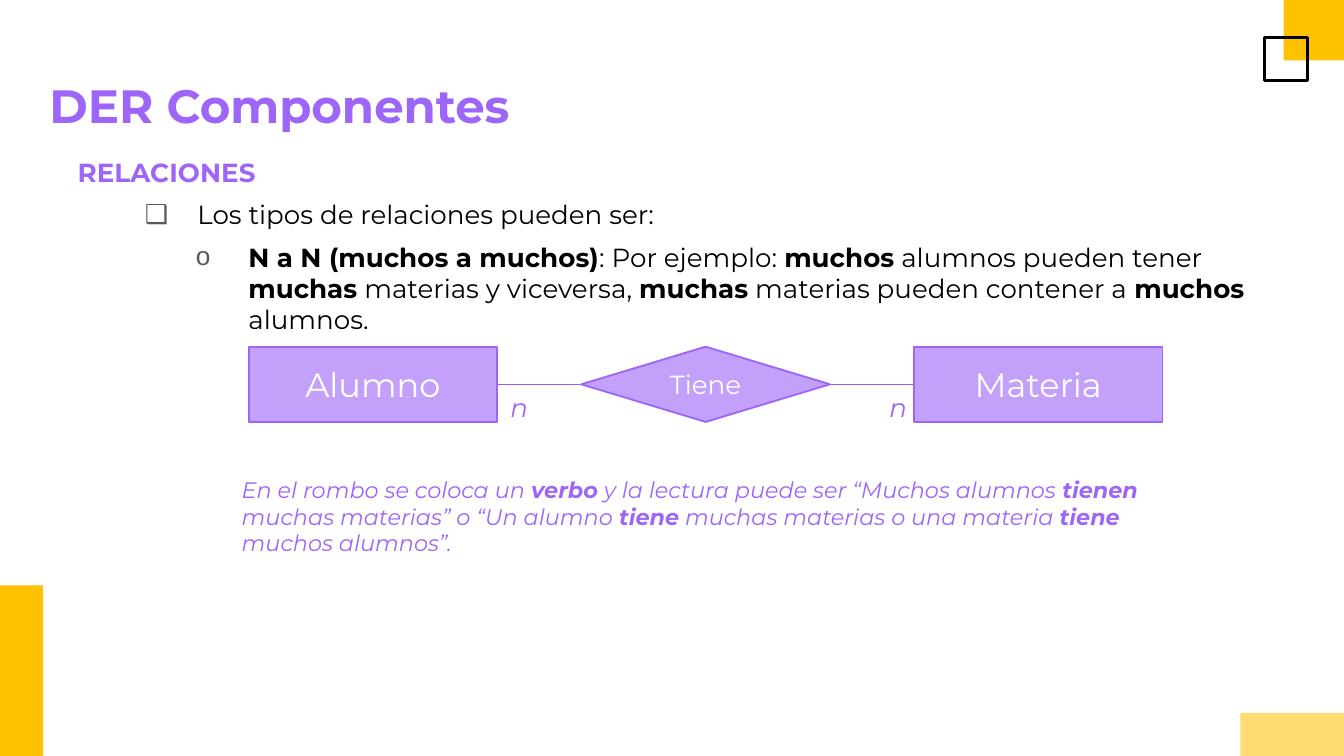
from lxml.etree import SubElement
from pptx import Presentation
from pptx.dml.color import RGBColor
from pptx.enum.shapes import MSO_CONNECTOR, MSO_SHAPE
from pptx.enum.text import MSO_ANCHOR, PP_ALIGN
from pptx.oxml.ns import qn
from pptx.util import Inches, Pt

PURPLE = RGBColor(0x9D, 0x66, 0xF9)
LINK_PURPLE = RGBColor(0x98, 0x5F, 0xF6)
LILAC = RGBColor(0xC3, 0xA1, 0xFB)
YELLOW = RGBColor(0xFF, 0xC1, 0x00)
PALE_YELLOW = RGBColor(0xFF, 0xDB, 0x71)
BLACK = RGBColor(0, 0, 0)
WHITE = RGBColor(0xFF, 0xFF, 0xFF)
GRAY = RGBColor(0x59, 0x59, 0x59)

FONT = "Montserrat"
SLIDE_WIDTH = Inches(10)
SLIDE_HEIGHT = SLIDE_WIDTH * 9 // 16
COLUMNS = 100
CELL = SLIDE_WIDTH / COLUMNS
ROWS = SLIDE_HEIGHT / CELL


def grid(*lengths):
    return [round(length * CELL) for length in lengths]


def set_values(target, values):
    for name, value in values.items():
        setattr(target, name, value)


def write_runs(paragraph, text, size, color, **style):
    for index, part in enumerate(text.split("*")):
        if part:
            run = paragraph.add_run()
            run.text = part
            set_values(run.font, {"name": FONT, "size": Pt(size), "bold": index % 2 == 1, **style})
            run.font.color.rgb = color


def set_bullet(paragraph, indent, symbol):
    properties = paragraph._p.get_or_add_pPr()
    properties.set("marL", str(Inches(indent)))
    properties.set("indent", str(Inches(-0.39)))
    if symbol:
        color = SubElement(properties, qn("a:buClr"))
        SubElement(color, qn("a:srgbClr"), val=str(GRAY))
        SubElement(properties, qn("a:buFont"), typeface="Arial")
        SubElement(properties, qn("a:buChar"), char=symbol)
    else:
        SubElement(properties, qn("a:buNone"))


def add_text(slide, box, vertical_margin=0.1):
    frame = slide.shapes.add_textbox(*grid(*box)).text_frame
    set_values(frame, {
        "word_wrap": True,
        "margin_left": Inches(0.1),
        "margin_right": Inches(0.1),
        "margin_top": Inches(vertical_margin),
        "margin_bottom": Inches(vertical_margin),
    })
    return frame


def add_block(slide, kind, box, fill=None, line=None, line_width=1):
    shape = slide.shapes.add_shape(kind, *grid(*box))
    shape.shadow.inherit = False
    if fill is None:
        shape.fill.background()
    else:
        shape.fill.solid()
        shape.fill.fore_color.rgb = fill
    if line is None:
        shape.line.fill.background()
    else:
        shape.line.color.rgb = line
        shape.line.width = Pt(line_width)
    return shape


def add_decoration(slide, box):
    left, top, width, height = box
    right, bottom = left + width, top + height
    rectangle = MSO_SHAPE.RECTANGLE
    add_block(slide, rectangle, (right - 4.5, top, 4.5, 4.5), YELLOW)
    add_block(slide, rectangle, (left, bottom - 12.7, 3.2, 12.7), YELLOW)
    add_block(slide, rectangle, (right - 5.9, top + 2.8, 3.2, 3.2), line=BLACK, line_width=1.5)
    add_block(slide, rectangle, (right - 7.7, bottom - 3.2, 7.7, 3.2), PALE_YELLOW)


def add_title(slide, box):
    write_runs(add_text(slide, box).paragraphs[0], "*DER Componentes*", 25, PURPLE)


def add_relations(slide, box):
    frame = add_text(slide, box)
    items = [
        ("*RELACIONES*", PURPLE, 0, 0.39, None),
        ("Los tipos de relaciones pueden ser:", BLACK, 1, 0.89, "❑"),
        ("*N a N (muchos a muchos)*: Por ejemplo: *muchos* alumnos pueden tener "
         "*muchas* materias y viceversa, *muchas* materias pueden contener a "
         "*muchos* alumnos.", BLACK, 7, 1.27, "o"),
    ]
    for index, (text, color, level, indent, symbol) in enumerate(items):
        paragraph = frame.add_paragraph() if index else frame.paragraphs[0]
        set_values(paragraph, {"level": level, "space_before": Pt(6 if index else 0)})
        set_bullet(paragraph, indent, symbol)
        write_runs(paragraph, text, 14, color)


def add_node(slide, kind, box, text, size):
    frame = add_block(slide, kind, box, LILAC, PURPLE).text_frame
    margins = ("margin_left", "margin_right", "margin_top", "margin_bottom")
    set_values(frame, {"vertical_anchor": MSO_ANCHOR.MIDDLE, "word_wrap": True,
                       **dict.fromkeys(margins, 0)})
    paragraph = frame.paragraphs[0]
    paragraph.alignment = PP_ALIGN.CENTER
    write_runs(paragraph, text, size, WHITE)


def add_diagram(slide, box):
    left, top, width, height = box
    node_width = 18.5
    step = (width - node_width) / 2
    middle = top + height / 2
    start, end = left + node_width, left + width - node_width

    connector = slide.shapes.add_connector(
        MSO_CONNECTOR.STRAIGHT, *grid(start, middle, end, middle))
    connector.line.color.rgb = LINK_PURPLE
    connector.line.width = Pt(0.75)
    SubElement(connector._element.spPr, qn("a:effectLst"))

    nodes = [
        (MSO_SHAPE.RECTANGLE, "Alumno", 18),
        (MSO_SHAPE.FLOWCHART_DECISION, "Tiene", 14),
        (MSO_SHAPE.RECTANGLE, "Materia", 18),
    ]
    for index, (kind, text, size) in enumerate(nodes):
        add_node(slide, kind, (left + index * step, top, node_width, height), text, size)

    for label_left in (start, end - 2.8):
        frame = add_text(slide, (label_left, middle, 3.4, 3.4), 0.05)
        write_runs(frame.paragraphs[0], "n", 14, PURPLE, italic=True)


def add_reading(slide, box):
    text = ("En el rombo se coloca un *verbo* y la lectura puede ser “Muchos alumnos "
            "*tienen *muchas materias” o “Un alumno *tiene* muchas materias o una "
            "materia *tiene *muchos alumnos”.")
    write_runs(add_text(slide, box).paragraphs[0], text, 12, PURPLE, italic=True)


def main():
    presentation = Presentation()
    set_values(presentation, {"slide_width": SLIDE_WIDTH, "slide_height": SLIDE_HEIGHT})
    slide = presentation.slides.add_slide(presentation.slide_layouts[6])
    add_decoration(slide, (0, 0, COLUMNS, ROWS))
    add_title(slide, (2.7, 4.7, 94.7, 6.3))
    add_relations(slide, (4.8, 10.6, 90.4, 13.2))
    add_diagram(slide, (18.5, 25.8, 68, 5.6))
    add_reading(slide, (17, 34.4, 72.5, 6.5))
    presentation.save("out.pptx")


if __name__ == "__main__":
    main()
